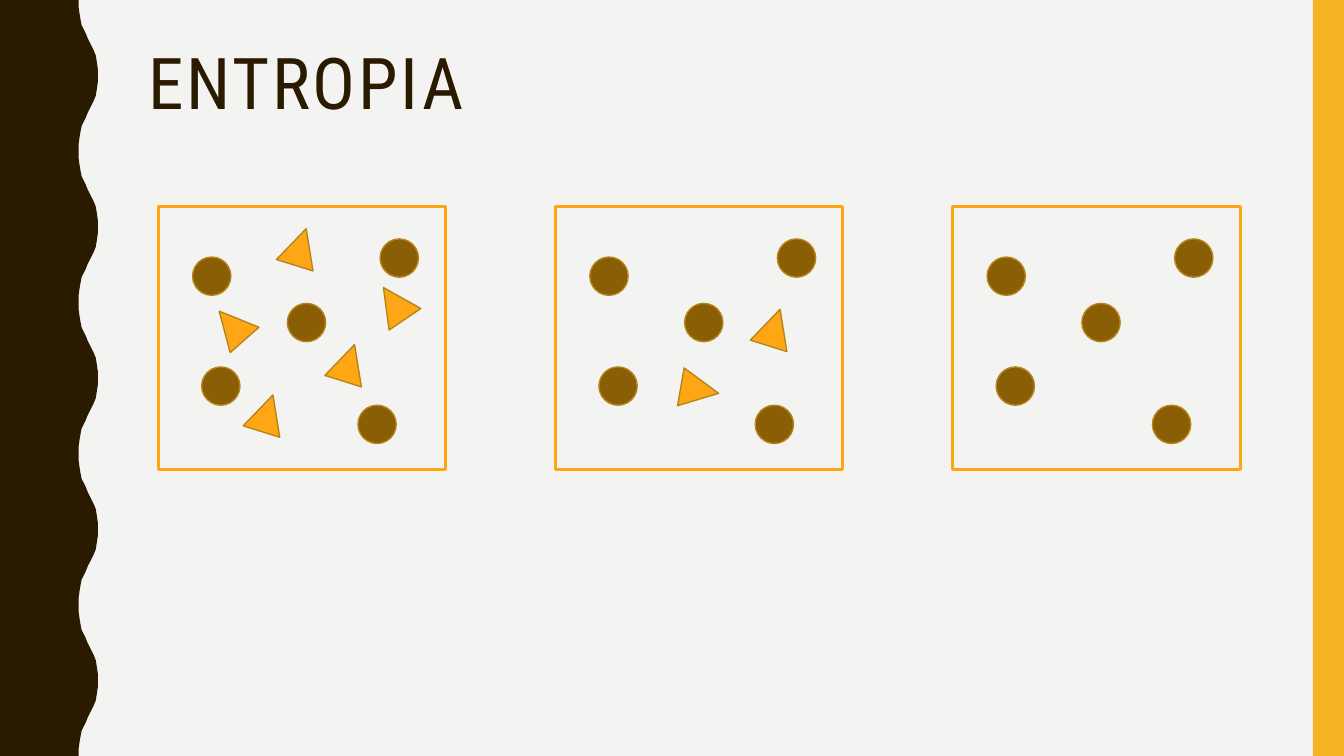
from pptx import Presentation
from pptx.dml.color import RGBColor
from pptx.enum.shapes import MSO_SHAPE as Shape
from pptx.enum.text import MSO_ANCHOR as Anchor, MSO_AUTO_SIZE as AutoSize, PP_ALIGN as Align
from pptx.util import Inches, Pt


def color(hex_text):
    return RGBColor.from_string(hex_text)


def style(shape, fill=None, line=None, width=1):
    shape.shadow.inherit = False
    if fill:
        shape.fill.solid()
        shape.fill.fore_color.rgb = color(fill)
    else:
        shape.fill.background()
    if line:
        shape.line.color.rgb = color(line)
        shape.line.width = Pt(width)
    else:
        shape.line.fill.background()


DARK, ORANGE, BROWN, OUTLINE = "2A1A00", "FFA615", "895E04", "B7841A"
HEIGHT = 7.5

deck = Presentation()
deck.slide_width = Inches(13.33)
deck.slide_height = Inches(HEIGHT)
page = deck.slides.add_slide(deck.slide_layouts[5])
page.background.fill.solid()
page.background.fill.fore_color.rgb = color("F3F3F2")

PERIOD = 1.5
rising = [
    (0.78, 0), (0.78, 0.07), (0.79, 0.14), (0.8, 0.2), (0.81, 0.25),
    (0.83, 0.29), (0.85, 0.33), (0.87, 0.38), (0.89, 0.42), (0.91, 0.46),
    (0.93, 0.5), (0.95, 0.55), (0.96, 0.61), (0.97, 0.68), (0.97, 0.75),
]
falling = [(x, PERIOD - y) for x, y in reversed(rising[:-1])]
edge = [
    (Inches(x), Inches(y + wave * PERIOD))
    for wave in range(5)
    for x, y in rising + falling
]
builder = page.shapes.build_freeform(0, 0)
builder.add_line_segments(edge + [(0, Inches(HEIGHT))], close=True)
style(builder.convert_to_shape(), DARK)

stripe = page.shapes.add_shape(
    Shape.RECTANGLE, Inches(13.02), 0, Inches(0.31), Inches(HEIGHT)
)
style(stripe, "F8B323")

title = page.shapes.title
title.left, title.top = Inches(1.37), Inches(0.42)
title.width, title.height = Inches(11.13), Inches(1.63)
frame = title.text_frame
frame.word_wrap = True
frame.auto_size = AutoSize.NONE
frame.vertical_anchor = Anchor.TOP
para = frame.paragraphs[0]
para.alignment = Align.LEFT
para.line_spacing = 0.9
span = para.add_run()
span.text = "ENTROPIA"
span.font.name = "Roboto Condensed"
span.font.size = Pt(51)
span.font.color.rgb = color(DARK)
span._r.get_or_add_rPr().set("spc", "200")

FIRST_LEFT, TOP, STEP = 1.57, 2.05, 3.94
SIZE = Inches(0.38)
circles = [(1.28, 0.96), (0.34, 0.5), (0.43, 1.59), (2.2, 0.32), (1.98, 1.97)]
triangles_by_box = [
    [(1.22, 0.21, 17.4), (1.7, 1.36, 17.4), (2.15, 0.77, 325.9),
     (0.54, 0.99, 318.6), (0.89, 1.86, 17.4)],
    [(1.24, 1.63, 99.9), (1.98, 1.01, 17.4)],
    [],
]

for index, triangles in enumerate(triangles_by_box):
    left = FIRST_LEFT + index * STEP
    group = page.shapes.add_group_shape()
    box = group.shapes.add_shape(
        Shape.RECTANGLE, Inches(left), Inches(TOP), Inches(2.85), Inches(2.61)
    )
    style(box, line=ORANGE, width=2.25)
    for x, y in circles:
        circle = group.shapes.add_shape(
            Shape.OVAL, Inches(left + x), Inches(TOP + y), SIZE, SIZE
        )
        style(circle, BROWN, OUTLINE)
    for x, y, angle in triangles:
        triangle = group.shapes.add_shape(
            Shape.ISOSCELES_TRIANGLE, Inches(left + x), Inches(TOP + y), SIZE, SIZE
        )
        triangle.rotation = angle
        style(triangle, ORANGE, OUTLINE)

deck.save("out.pptx")
